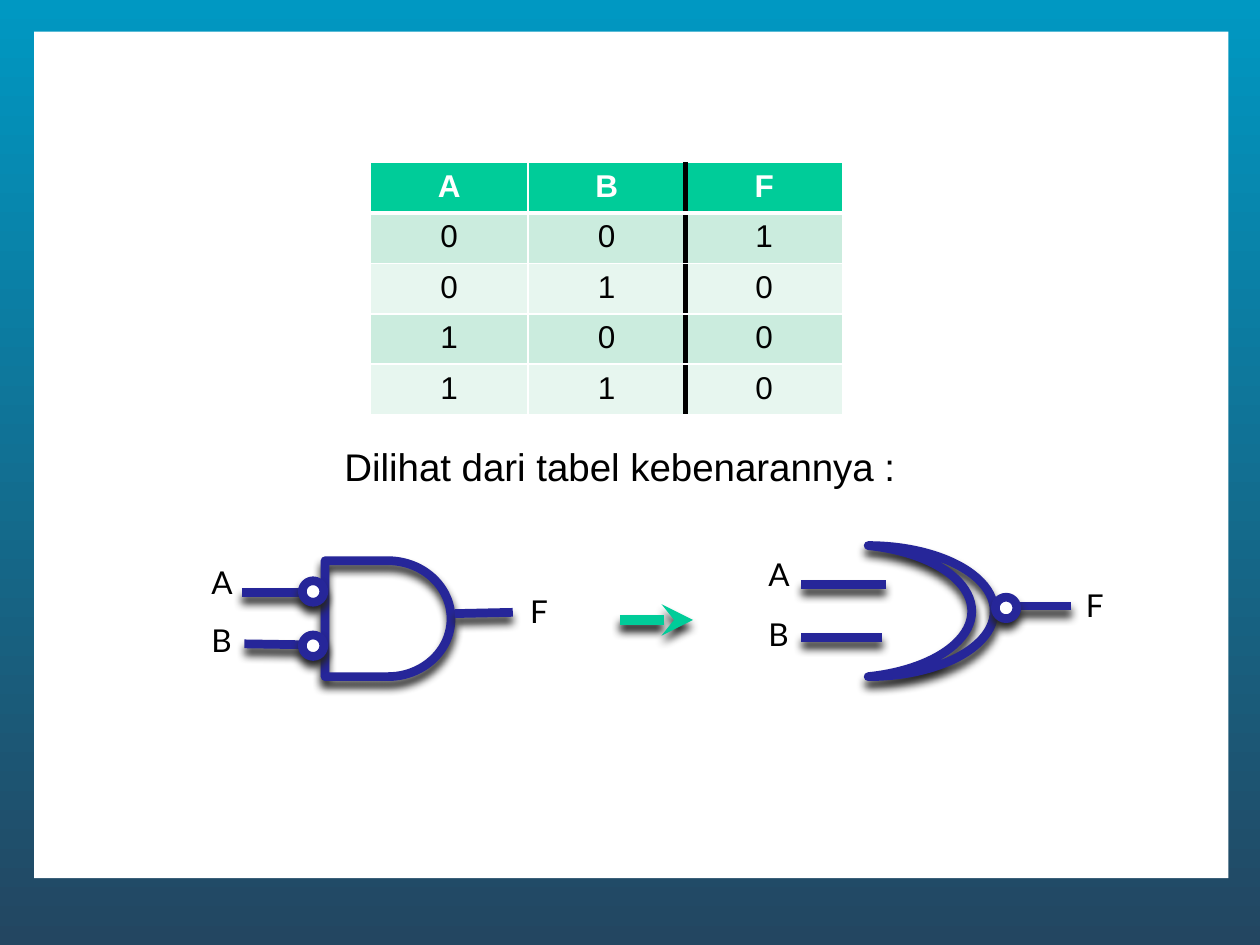
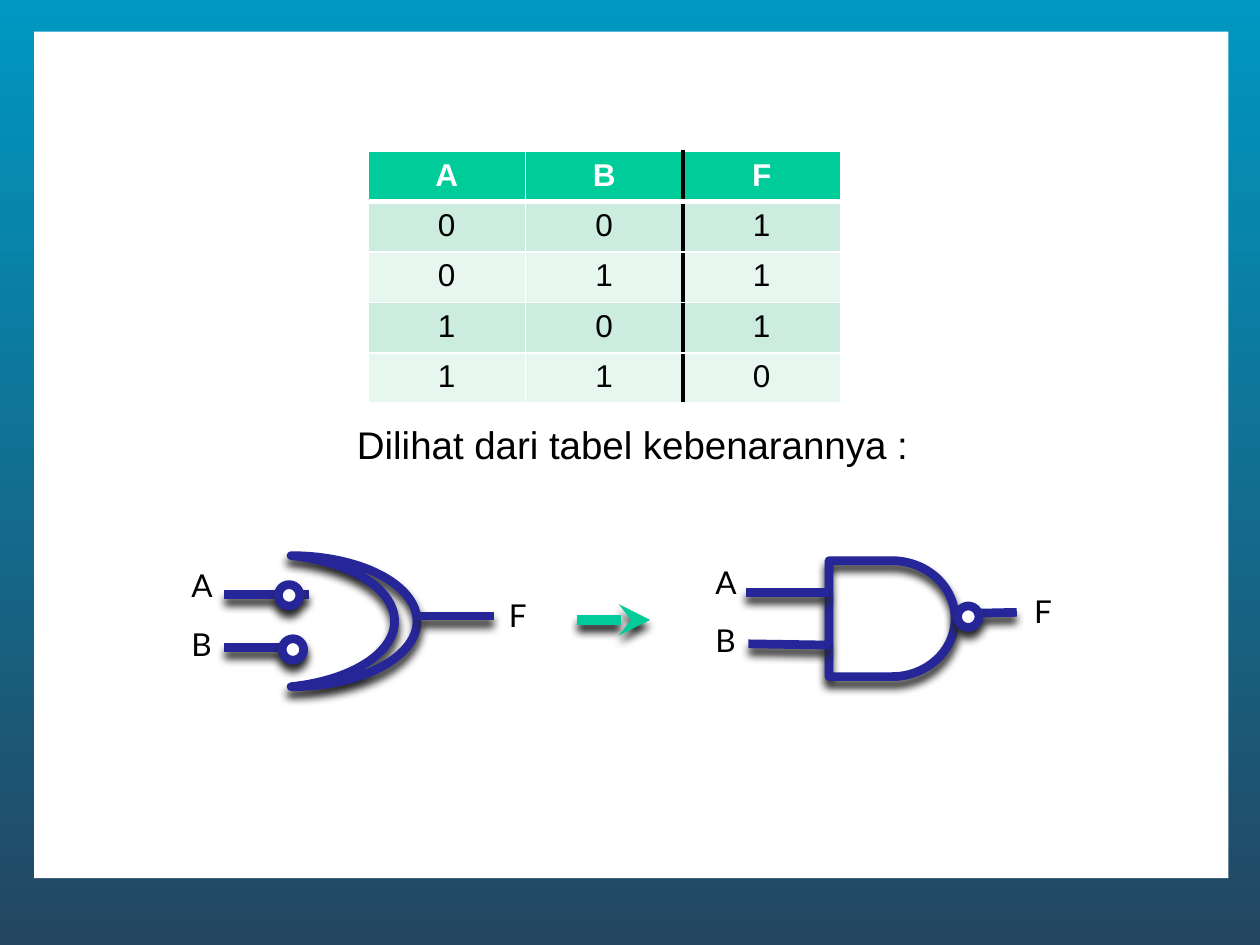
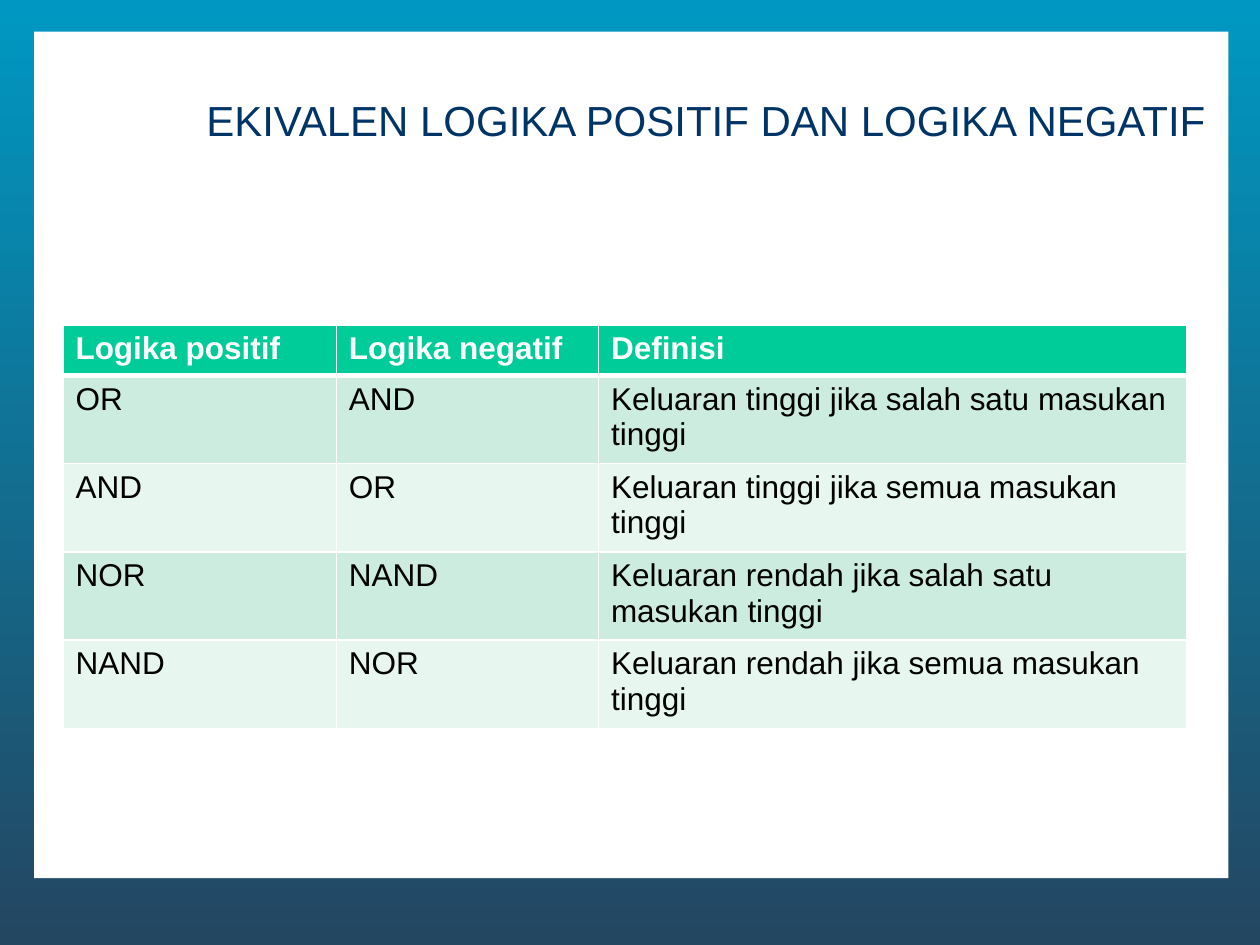
from dataclasses import dataclass

from lxml import etree
from pptx import Presentation
from pptx.dml.color import RGBColor
from pptx.enum.shapes import MSO_CONNECTOR, MSO_SHAPE
from pptx.enum.text import MSO_ANCHOR, MSO_AUTO_SIZE, PP_ALIGN
from pptx.oxml import parse_xml
from pptx.oxml.ns import nsdecls, qn
from pptx.shapes.group import GroupShape
from pptx.slide import Slide
from pptx.util import Inches, Pt

STRAIGHT = MSO_CONNECTOR.STRAIGHT
RECTANGLE = MSO_SHAPE.RECTANGLE
OVAL = MSO_SHAPE.OVAL
DELAY = MSO_SHAPE.FLOWCHART_DELAY
MOON = MSO_SHAPE.MOON
TOP = MSO_ANCHOR.TOP
MIDDLE = MSO_ANCHOR.MIDDLE
LEFT = PP_ALIGN.LEFT
CENTER = PP_ALIGN.CENTER
RIGHT = PP_ALIGN.RIGHT
FIT_SHAPE = MSO_AUTO_SIZE.SHAPE_TO_FIT_TEXT
NO_FIT = MSO_AUTO_SIZE.NONE

COLORS = {
    "sky": "0098C2",
    "deep": "234661",
    "white": "FFFFFF",
    "black": "000000",
    "title": "003366",
    "accent": "00CC99",
    "band_dark": "CBECDE",
    "band_light": "E7F6EF",
    "gate": "262699",
    "shadow": "262626",
}
BODY_FONT = "Arial"
LABEL_FONT = "Lato"
BUBBLE_SIZE = 0.17
CAPTION = "Dilihat dari tabel kebenarannya :"

Point = tuple[float, float]
Box = tuple[float, float, float, float]


@dataclass(frozen=True)
class Gate:
    outline: int
    body: Box
    leads: tuple[tuple[Point, Point], ...]
    labels: tuple[tuple[str, Box], ...]
    rotation: int = 0
    adjustment: float | None = None


@dataclass(frozen=True)
class GatePlace:
    gate: Gate
    origin: Point
    bubbles: tuple[Point, ...]


@dataclass(frozen=True)
class TruthSlide:
    outputs: str
    table_at: Point
    caption_at: Box
    arrow_left: float
    places: tuple[GatePlace, ...]


AND_GATE = Gate(
    DELAY,
    (1, 0.03, 1, 0.92),
    (((0.34, 0.28), (1, 0.28)), ((0.36, 0.69), (1, 0.7)), ((2.49, 0.44), (2.03, 0.45))),
    (("A", (0, 0, 0.35, 0.4)), ("B", (0, 0.46, 0.35, 0.4)), ("F", (2.53, 0.23, 0.33, 0.4))),
)
OR_GATE = Gate(
    MOON,
    (0.89, -0.03, 1, 1.04),
    (((0.36, 0.28), (1.03, 0.28)), ((0.36, 0.7), (1, 0.7)), ((2.5, 0.45), (1.9, 0.45))),
    (("A", (0, 0, 0.35, 0.4)), ("B", (0, 0.47, 0.35, 0.4)), ("F", (2.52, 0.24, 0.33, 0.4))),
    rotation=180,
    adjustment=0.178,
)

TRUTH_SLIDES = (
    TruthSlide("1000", (2.94, 1.29), (0.42, 3.47, 9, 3.63), 4.92, (
        GatePlace(AND_GATE, (1.58, 4.42), ((0.82, 0.19), (0.82, 0.62))),
        GatePlace(OR_GATE, (6, 4.36), ((1.9, 0.38),)),
    )),
    TruthSlide("1110", (2.92, 1.2), (0.52, 3.29, 9, 4.05), 4.58, (
        GatePlace(OR_GATE, (1.42, 4.44), ((0.79, 0.2), (0.82, 0.63))),
        GatePlace(AND_GATE, (5.58, 4.42), ((2.02, 0.39),)),
    )),
)
EQUIVALENTS = (
    ("Logika positif", "Logika negatif", "Definisi"),
    ("OR", "AND", "Keluaran tinggi jika salah satu masukan tinggi"),
    ("AND", "OR", "Keluaran tinggi jika semua masukan tinggi"),
    ("NOR", "NAND", "Keluaran rendah jika salah satu masukan tinggi"),
    ("NAND", "NOR", "Keluaran rendah jika semua masukan tinggi"),
)


def color(name: str) -> RGBColor:
    return RGBColor.from_string(COLORS[name])


def write(frame, text: str, *, size: float = 18, font: str = BODY_FONT,
          ink: str = "black", bold: bool = False, align=LEFT) -> None:
    para = frame.paragraphs[0]
    para.alignment = align
    span = para.add_run()
    span.text = text
    span.font.size = Pt(size)
    span.font.name = font
    span.font.bold = bold
    span.font.color.rgb = color(ink)


def add_text(parent: Slide | GroupShape, text: str, place: Box, *,
             anchor=TOP, fit=NO_FIT, **style) -> None:
    box = parent.shapes.add_textbox(*map(Inches, place))
    frame = box.text_frame
    frame.word_wrap = True
    frame.auto_size = fit
    frame.vertical_anchor = anchor
    write(frame, text, **style)


def add_shadow(shape) -> None:
    properties = shape._element.spPr
    for effects in properties.findall(qn("a:effectLst")):
        properties.remove(effects)
    properties.append(parse_xml(
        f'<a:effectLst {nsdecls("a")}>'
        f'<a:outerShdw blurRad="{Pt(5)}" dist="{Pt(4)}" dir="5400000" algn="t" rotWithShape="0">'
        f'<a:srgbClr val="{COLORS["shadow"]}"/></a:outerShdw></a:effectLst>'
    ))


def add_line(parent: Slide | GroupShape, start: Point, end: Point, *,
             ink: str = "gate", width: float = 5, arrow: bool = False) -> None:
    line = parent.shapes.add_connector(STRAIGHT, *map(Inches, (*start, *end)))
    line.line.color.rgb = color(ink)
    line.line.width = Pt(width)
    if arrow:
        etree.SubElement(line.line._get_or_add_ln(), qn("a:tailEnd"), type="stealth")
    add_shadow(line)


def add_outline(group: GroupShape, kind: int, place: Box, fill: str | None = None):
    shape = group.shapes.add_shape(kind, *map(Inches, place))
    if fill:
        shape.fill.solid()
        shape.fill.fore_color.rgb = color(fill)
    else:
        shape.fill.background()
    shape.line.color.rgb = color("gate")
    shape.line.width = Pt(5)
    add_shadow(shape)
    return shape


def add_gate(page: Slide, place: GatePlace) -> None:
    gate = place.gate
    left, top = place.origin

    def shift(x: float, y: float, *size: float) -> tuple[float, ...]:
        return (left + x, top + y, *size)

    group = page.shapes.add_group_shape()
    body = add_outline(group, gate.outline, shift(*gate.body))
    body.rotation = gate.rotation
    if gate.adjustment is not None:
        body.adjustments[0] = gate.adjustment
    for start, end in gate.leads:
        add_line(group, shift(*start), shift(*end))
    for bubble in place.bubbles:
        add_outline(group, OVAL, shift(*bubble, BUBBLE_SIZE, BUBBLE_SIZE), "white")
    for text, box in gate.labels:
        add_text(group, text, shift(*box), fit=FIT_SHAPE, font=LABEL_FONT)


def set_border(cell, side: str, ink: str, width: float) -> None:
    cell._tc.get_or_add_tcPr().append(parse_xml(
        f'<a:ln{side} {nsdecls("a")} w="{Pt(width)}">'
        f'<a:solidFill><a:srgbClr val="{COLORS[ink]}"/></a:solidFill></a:ln{side}>'
    ))


def add_table(page: Slide, rows, at: Point, widths: tuple[float, ...],
              heights: tuple[float, ...], *, align=LEFT, divider: int | None = None) -> None:
    frame = page.shapes.add_table(
        len(rows), len(widths), *map(Inches, (*at, sum(widths), sum(heights))))
    table = frame.table
    for column, width in zip(table.columns, widths):
        column.width = Inches(width)
    for row, height in zip(table.rows, heights):
        row.height = Inches(height)
    for row_index, texts in enumerate(rows):
        header = row_index == 0
        band = "accent" if header else ("band_light", "band_dark")[row_index % 2]
        for column_index, text in enumerate(texts):
            cell = table.cell(row_index, column_index)
            for side, edge in (("L", column_index), ("R", column_index + 1)):
                heavy = edge == divider
                set_border(cell, side, "black" if heavy else "white", 3 if heavy else 1)
            set_border(cell, "T", "white", 3 if row_index == 1 else 1)
            set_border(cell, "B", "white", 3 if header else 1)
            cell.fill.solid()
            cell.fill.fore_color.rgb = color(band)
            write(cell.text_frame, text, ink="white" if header else "black",
                  bold=header, align=align)


def set_background(deck) -> None:
    fill = deck.slide_master.background.fill
    fill.gradient()
    fill.gradient_angle = 270
    for stop, position, name in zip(fill.gradient_stops, (0, 1), ("sky", "deep")):
        stop.position = position
        stop.color.rgb = color(name)


def add_page(deck) -> Slide:
    page = deck.slides.add_slide(deck.slide_layouts[6])
    panel = page.shapes.add_shape(RECTANGLE, *map(Inches, (0.27, 0.25, 9.48, 6.72)))
    panel.shadow.inherit = False
    panel.fill.solid()
    panel.fill.fore_color.rgb = color("white")
    panel.line.fill.background()
    return page


def add_truth_page(deck, content: TruthSlide) -> None:
    page = add_page(deck)
    add_text(page, CAPTION, content.caption_at, size=22, align=CENTER)
    rows = ["ABF"] + [f"{index:02b}{output}" for index, output in enumerate(content.outputs)]
    add_table(page, rows, content.table_at, (1.25,) * 3, (0.4,) * 5,
              align=CENTER, divider=2)
    add_line(page, (content.arrow_left, 4.92), (content.arrow_left + 0.58, 4.92),
             ink="accent", width=6, arrow=True)
    for place in content.places:
        add_gate(page, place)


def add_equivalence_page(deck) -> None:
    page = add_page(deck)
    add_text(page, "EKIVALEN LOGIKA POSITIF DAN LOGIKA NEGATIF", (1.42, 0.5, 8.25, 0.9),
             anchor=MIDDLE, size=24, ink="title", align=RIGHT)
    add_table(page, EQUIVALENTS, (0.5, 2.58), (2.17, 2.08, 4.67), (0.4,) + (0.7,) * 4)


def main() -> None:
    deck = Presentation()
    deck.slide_width = Inches(10)
    deck.slide_height = Inches(7.5)
    set_background(deck)
    for content in TRUTH_SLIDES:
        add_truth_page(deck, content)
    add_equivalence_page(deck)
    deck.save("out.pptx")


main()
